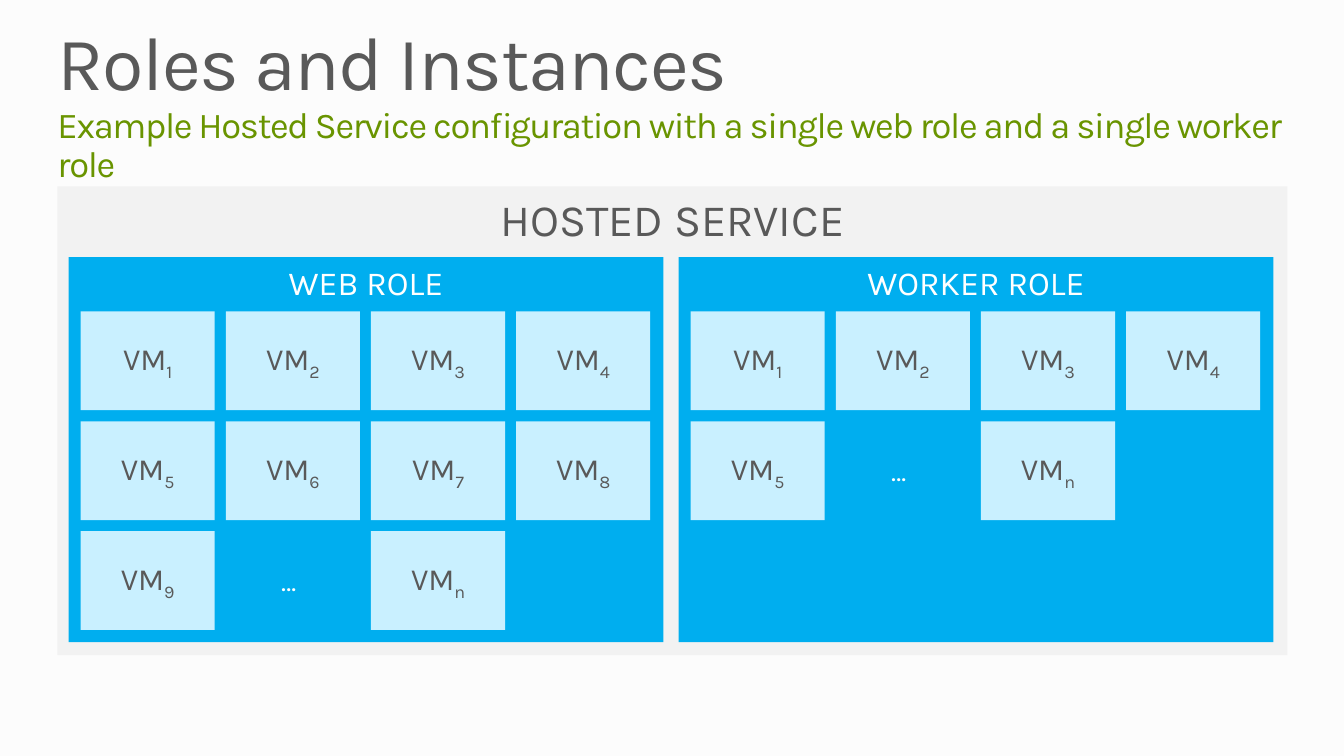
from dataclasses import dataclass

from pptx import Presentation
from pptx.dml.color import RGBColor
from pptx.enum.shapes import MSO_SHAPE
from pptx.enum.text import MSO_ANCHOR as ANCHOR, PP_ALIGN as ALIGN
from pptx.util import Pt

PX = 9144  # EMU per px, 100 px to the inch
FONT = "Karla"
COLORS = {
    "background": "FCFCFC",
    "service": "F2F2F2",
    "role": "00AEEF",
    "vm": "C9F0FF",
    "text": "595959",
    "subtitle": "699400",
    "white": "FFFFFF",
}
COLUMNS = 4
VM_WIDTH, VM_HEIGHT = 133, 98
PITCH_X, PITCH_Y = 144, 109
GRID_LEFT, GRID_TOP = 12, 54  # offset of the VM grid inside a role
ROLE_TOP, ROLE_WIDTH, ROLE_HEIGHT = 255, 590, 382


@dataclass
class Box:
    left: int
    top: int
    width: int
    height: int

    def emu(self) -> list[int]:
        return [v * PX for v in (self.left, self.top, self.width, self.height)]


@dataclass
class Role:
    name: str
    left: int
    vm_count: int  # numbered VMs; a gap with dots and VM n follow


def rgb(color: str) -> RGBColor:
    return RGBColor.from_string(COLORS[color])


def format_run(r, size: int, color: str, **attributes: str) -> None:
    """Style a run; attributes go straight to its a:rPr."""
    r.font.name = FONT
    r.font.size = Pt(size)
    r.font.color.rgb = rgb(color)
    for name, value in attributes.items():
        r.font._element.set(name, value)


def add_rect(slide, box: Box, fill: str, text: str, size: int, color: str,
             anchor=ANCHOR.TOP):
    """Add a borderless rectangle with centred text and return its paragraph."""
    sp = slide.shapes.add_shape(MSO_SHAPE.RECTANGLE, *box.emu())
    sp.shadow.inherit = False
    sp.fill.solid()
    sp.fill.fore_color.rgb = rgb(fill)
    sp.line.fill.background()
    tf = sp.text_frame
    tf.word_wrap = True
    tf.vertical_anchor = anchor
    p = tf.paragraphs[0]
    p.text = text
    p.alignment = ALIGN.CENTER
    format_run(p.runs[0], size, color)
    return p


def add_title(slide, title: str, subtitle: str) -> None:
    tf = slide.shapes.add_textbox(*Box(57, 25, 1219, 121).emu()).text_frame
    tf.word_wrap = True
    tf.margin_left = tf.margin_right = tf.margin_top = tf.margin_bottom = 0
    p = tf.paragraphs[0]
    p.text = f"{title}\v{subtitle}"
    p.line_spacing = 0.9
    format_run(p.runs[0], 54, "text", spc="-100")
    format_run(p.runs[1], 26, "subtitle", spc="-100")


def add_vm(slide, left: int, top: int, index: str) -> None:
    box = Box(left, top, VM_WIDTH, VM_HEIGHT)
    p = add_rect(slide, box, "vm", "VM", 22, "text", ANCHOR.MIDDLE)
    r = p.add_run()
    r.text = index
    format_run(r, 22, "text", baseline="-25000")


def add_dots(slide, left: int, top: int) -> None:
    tf = slide.shapes.add_textbox(*Box(left, top, 42, 44).emu()).text_frame
    p = tf.paragraphs[0]
    p.text = "…"
    p.space_before = Pt(12)
    format_run(p.runs[0], 20, "white")


def add_role(slide, role: Role) -> None:
    box = Box(role.left, ROLE_TOP, ROLE_WIDTH, ROLE_HEIGHT)
    add_rect(slide, box, "role", role.name, 24, "white")
    labels = [str(i + 1) for i in range(role.vm_count)] + ["…", "n"]
    for i, label in enumerate(labels):
        row, column = divmod(i, COLUMNS)
        left = role.left + GRID_LEFT + column * PITCH_X
        top = ROLE_TOP + GRID_TOP + row * PITCH_Y
        if label == "…":
            add_dots(slide, left + 45, top + 27)
        else:
            add_vm(slide, left, top, label)


def main() -> None:
    prs = Presentation()
    prs.slide_width, prs.slide_height = 1333 * PX, 750 * PX
    slide = prs.slides.add_slide(prs.slide_layouts[6])
    slide.background.fill.solid()
    slide.background.fill.fore_color.rgb = rgb("background")

    add_title(slide, "Roles and Instances",
              "Example Hosted Service configuration with a single web role "
              "and a single worker role")
    add_rect(slide, Box(57, 185, 1220, 465), "service", "HOSTED SERVICE", 32, "text")
    for role in (Role("WEB ROLE", 68, 9), Role("WORKER ROLE", 673, 5)):
        add_role(slide, role)

    prs.save("out.pptx")


if __name__ == "__main__":
    main()
